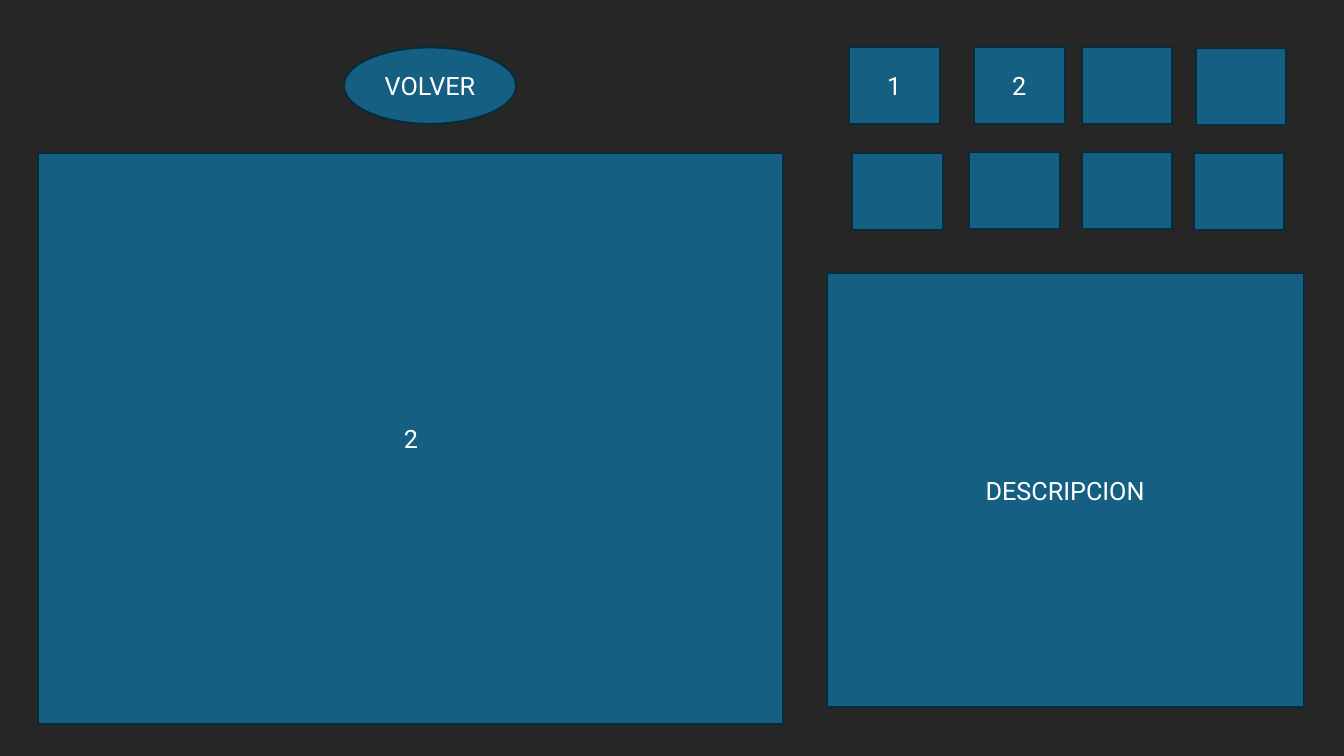
from pptx import Presentation
from pptx.dml.color import RGBColor
from pptx.enum.shapes import MSO_SHAPE
from pptx.enum.text import MSO_ANCHOR, PP_ALIGN
from pptx.util import Inches, Pt

RECTANGLE = MSO_SHAPE.RECTANGLE
OVAL = MSO_SHAPE.OVAL
MIDDLE = MSO_ANCHOR.MIDDLE
CENTER = PP_ALIGN.CENTER

COLORS = {"background": "262626", "fill": "156082", "outline": "092A39", "text": "FFFFFF"}
BLANK_LAYOUT = 6
BUTTON_WIDTH, BUTTON_HEIGHT = 0.9, 0.76
BUTTONS = [
    (8.42, 0.47, "1"),
    (9.66, 0.47, "2"),
    (10.73, 0.47, ""),
    (11.86, 0.48, ""),
    (8.45, 1.52, ""),
    (9.61, 1.51, ""),
    (10.73, 1.51, ""),
    (11.84, 1.52, ""),
]


class Wireframe:
    font_name = "Roboto"
    font_size = Pt(18)
    outline_width = Pt(1.5)

    def __init__(self, slide):
        self.slide = slide

    def color(self, role):
        return RGBColor.from_string(COLORS[role])

    def background(self):
        fill = self.slide.background.fill
        fill.solid()
        fill.fore_color.rgb = self.color("background")

    def block(self, left, top, width, height, label="", outline=RECTANGLE):
        shape = self.slide.shapes.add_shape(
            outline, Inches(left), Inches(top), Inches(width), Inches(height)
        )
        shape.shadow.inherit = False
        shape.fill.solid()
        shape.fill.fore_color.rgb = self.color("fill")
        shape.line.color.rgb = self.color("outline")
        shape.line.width = self.outline_width
        if label:
            self.label(shape.text_frame, label)

    def label(self, frame, text):
        frame.text = text
        frame.vertical_anchor = MIDDLE
        paragraph = frame.paragraphs[0]
        paragraph.alignment = CENTER
        paragraph.font.name = self.font_name
        paragraph.font.size = self.font_size
        paragraph.font.color.rgb = self.color("text")

    def button(self, left, top, label):
        self.block(left, top, BUTTON_WIDTH, BUTTON_HEIGHT, label)


def main():
    presentation = Presentation()
    presentation.slide_width = Inches(13.33)
    presentation.slide_height = Inches(7.5)
    layout = presentation.slide_layouts[BLANK_LAYOUT]
    wireframe = Wireframe(presentation.slides.add_slide(layout))

    wireframe.background()
    wireframe.block(0.38, 1.52, 7.39, 5.66, "2")
    for left, top, label in BUTTONS:
        wireframe.button(left, top, label)
    wireframe.block(8.2, 2.71, 4.73, 4.31, "DESCRIPCION")
    wireframe.block(3.41, 0.47, 1.71, 0.76, "VOLVER", OVAL)

    presentation.save("out.pptx")


if __name__ == "__main__":
    main()
